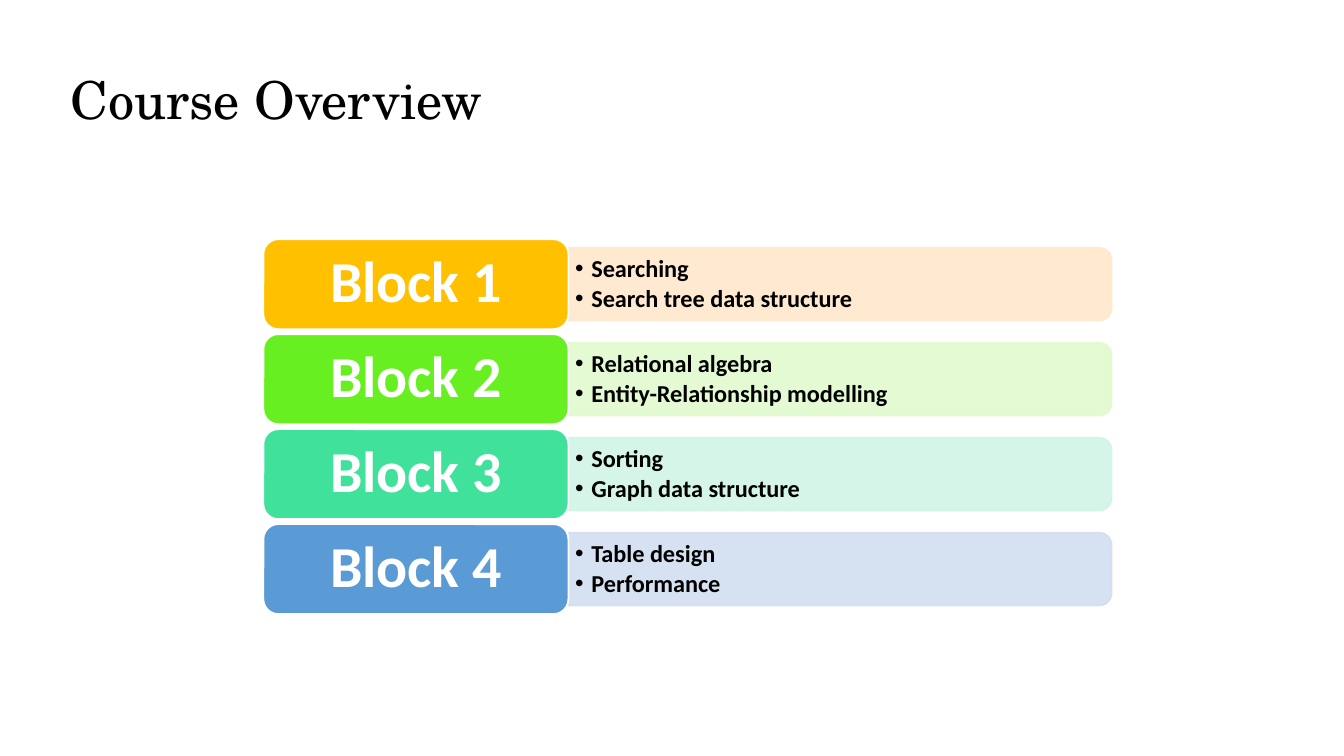
from dataclasses import dataclass

from lxml import etree
from pptx import Presentation
from pptx import util as u
from pptx.dml.color import RGBColor
from pptx.enum import shapes, text
from pptx.oxml.ns import qn

COLOURS = {
    "black": "000000", "white": "FFFFFF",
    "amber": "FFC000", "amber_pale": "FFE8CC",
    "lime": "67EF21", "lime_pale": "E1FACE",
    "mint": "3FE19B", "mint_pale": "D0F5E5",
    "blue": "5B9BD5", "blue_pale": "D2DFF0",
}
PAGE_WIDTH = 10
PAGE_HEIGHT = PAGE_WIDTH * 9 / 16
FIRST_TOP, ROW_PITCH = 1.78, 2.12 / 3
LABEL_LEFT, LABEL_WIDTH, LABEL_HEIGHT = 1.96, 2.27, 0.67
PANEL_WIDTH, PANEL_HEIGHT = 4.04, 0.54
PANEL_LEFT = LABEL_LEFT + LABEL_WIDTH


@dataclass
class Block:
    name: str
    colour: str
    topics: list[str]


@dataclass
class TextStyle:
    font: dict
    colour: str
    paragraph: dict
    margins: tuple[float, float]
    anchor: text.MSO_ANCHOR = text.MSO_ANCHOR.MIDDLE
    bullet_indent: float = 0


BLOCKS = [
    Block("Block 1", "amber", ["Searching", "Search tree data structure"]),
    Block("Block 2", "lime", ["Relational algebra", "Entity-Relationship modelling"]),
    Block("Block 3", "mint", ["Sorting", "Graph data structure"]),
    Block("Block 4", "blue", ["Table design", "Performance"]),
]
TITLE = TextStyle({"name": "TeX Gyre Schola", "size": u.Pt(28)}, "black", {},
                  (0.1, 0.05), text.MSO_ANCHOR.TOP)
LABEL = TextStyle({"name": "Calibri", "size": u.Pt(31), "bold": True}, "white",
                  {"alignment": text.PP_ALIGN.CENTER, "line_spacing": 0.9,
                   "space_after": u.Pt(11)}, (0.13, 0.06))
TOPICS = TextStyle({"name": "Calibri", "size": u.Pt(13), "bold": True}, "black",
                   {"level": 1, "line_spacing": 0.9, "space_after": u.Pt(2)},
                   (0.05, 0.03), bullet_indent=0.12)


def rgb(name: str) -> RGBColor:
    return RGBColor.from_string(COLOURS[name])


def set_all(target, values: dict) -> None:
    for name, value in values.items():
        setattr(target, name, value)


def add_bullet(para, indent: float) -> None:
    properties = para._p.get_or_add_pPr()
    properties.set("marL", str(u.Inches(indent)))
    properties.set("indent", str(-u.Inches(indent)))
    etree.SubElement(properties, qn("a:buFont"), typeface="Arial")
    etree.SubElement(properties, qn("a:buChar"), char="•")


def add_text(page, left: float, top: float, width: float, height: float,
             lines: list[str], style: TextStyle) -> None:
    box = page.shapes.add_textbox(*map(u.Inches, (left, top, width, height)))
    frame = box.text_frame
    side, end = map(u.Inches, style.margins)
    set_all(frame, {"word_wrap": True, "vertical_anchor": style.anchor,
                    "margin_left": side, "margin_right": side,
                    "margin_top": end, "margin_bottom": end})
    for index, line in enumerate(lines):
        para = frame.add_paragraph() if index else frame.paragraphs[0]
        set_all(para, style.paragraph)
        if style.bullet_indent:
            add_bullet(para, style.bullet_indent)
        span = para.add_run()
        span.text = line
        set_all(span.font, style.font)
        span.font.color.rgb = rgb(style.colour)


def add_box(page, kind: shapes.MSO_SHAPE, left: float, top: float, width: float,
            height: float, fill: str, line: str):
    box = page.shapes.add_shape(kind, *map(u.Inches, (left, top, width, height)))
    box.shadow.inherit = False
    box.fill.solid()
    box.fill.fore_color.rgb = rgb(fill)
    box.line.color.rgb = rgb(line)
    box.line.width = u.Pt(1)
    return box


def add_panel(page, middle: float, colour: str) -> None:
    """Draw a translucent bar, turned so that its round corners face right."""
    left = PANEL_LEFT + (PANEL_WIDTH - PANEL_HEIGHT) / 2
    panel = add_box(page, shapes.MSO_SHAPE.ROUND_2_SAME_RECTANGLE, left,
                    middle - PANEL_WIDTH / 2, PANEL_HEIGHT, PANEL_WIDTH, colour, colour)
    panel.rotation = 90
    for colour_node in panel._element.spPr.iter(qn("a:srgbClr")):
        etree.SubElement(colour_node, qn("a:alpha"), val="90000")


def add_block(page, block: Block, top: float) -> None:
    middle = top + LABEL_HEIGHT / 2
    add_panel(page, middle, block.colour + "_pale")
    add_text(page, PANEL_LEFT, middle - 0.24, 4.01, 0.48, block.topics, TOPICS)
    add_box(page, shapes.MSO_SHAPE.ROUNDED_RECTANGLE, LABEL_LEFT, top,
            LABEL_WIDTH, LABEL_HEIGHT, block.colour, "white")
    add_text(page, LABEL_LEFT + 0.03, top + 0.03, LABEL_WIDTH - 0.06,
             LABEL_HEIGHT - 0.06, [block.name], LABEL)


def main() -> None:
    deck = Presentation()
    deck.slide_width, deck.slide_height = u.Inches(PAGE_WIDTH), u.Inches(PAGE_HEIGHT)
    page = deck.slides.add_slide(deck.slide_layouts[6])
    add_text(page, 0.43, 0.45, 8.5, 0.94, ["Course Overview"], TITLE)
    for row, block in enumerate(BLOCKS):
        add_block(page, block, FIRST_TOP + row * ROW_PITCH)
    deck.save("out.pptx")


if __name__ == "__main__":
    main()
